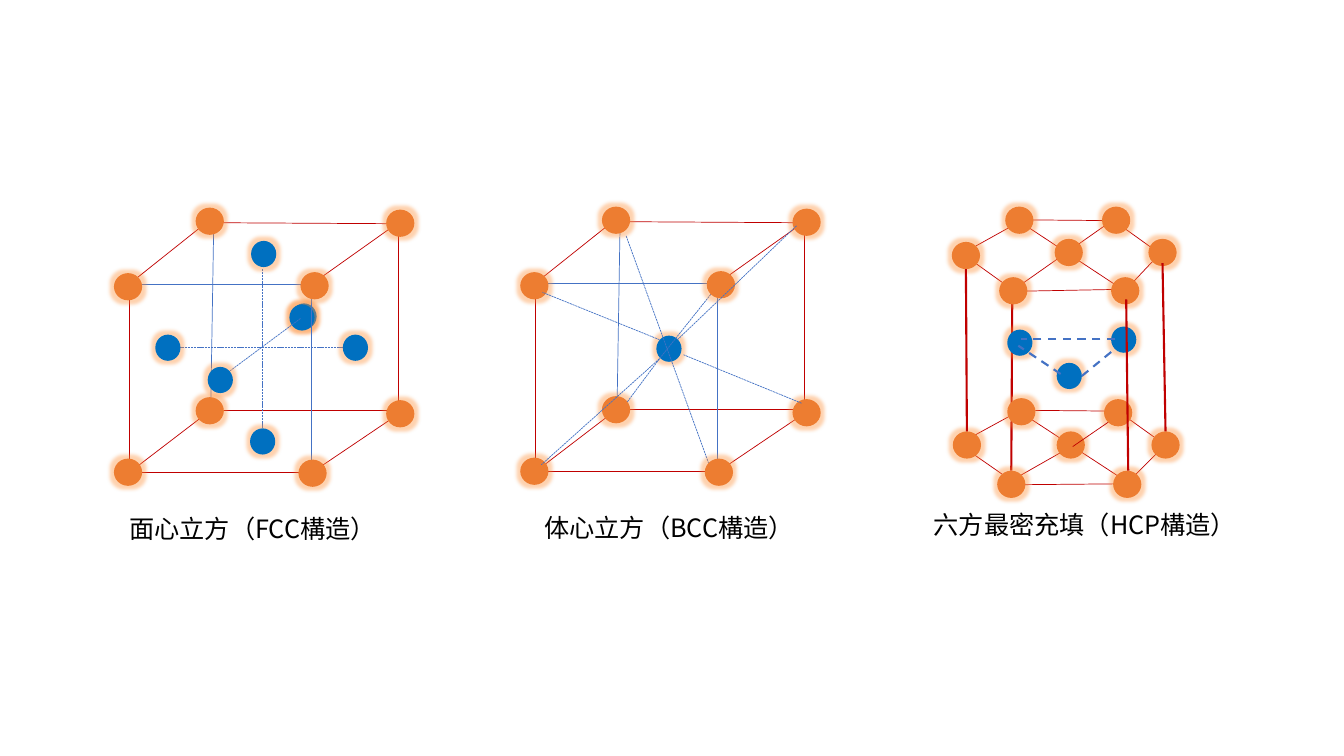
from lxml import etree
from pptx import Presentation
from pptx.dml.color import RGBColor
from pptx.enum.dml import MSO_LINE
from pptx.enum.shapes import MSO_CONNECTOR, MSO_SHAPE
from pptx.enum.text import PP_ALIGN
from pptx.oxml.ns import qn
from pptx.util import Inches, Pt

STRAIGHT, OVAL = MSO_CONNECTOR.STRAIGHT, MSO_SHAPE.OVAL
FINE_DASH, LONG_DASH = MSO_LINE.SQUARE_DOT, MSO_LINE.DASH
CENTER = PP_ALIGN.CENTER
FONT = "Noto Sans CJK JP"
COLORS = {"corner": "ED7D31", "inner": "0070C0", "edge": "C00000",
          "guide": "4472C4", "glow": "FF8F37", "text": "000000"}
ATOM_SIZES = {"corner": (0.28, 0.27), "inner": (0.25, 0.26)}

# Atoms are (left, top) and bonds (x1, y1, x2, y2), in inches from the box corner
CUBE_CORNERS = [(2.7, 0.02), (0.81, 0), (0, 0.65), (0, 2.49),
                (2.7, 1.91), (1.85, 0.64), (1.83, 2.5), (0.81, 1.88)]
CUBE_EDGES = [
    (2.82, 0.16, 2.82, 2.01), (2.84, 2.01, 0.99, 2.01), (0.89, 0.17, 0.15, 0.76),
    (2.84, 0.16, 1.07, 0.15), (2.79, 0.17, 1.96, 0.76), (0.15, 0.76, 0.15, 2.66),
    (1.96, 2.63, 0.15, 2.63), (2.79, 2.07, 1.96, 2.63), (0.96, 2.01, 0.15, 2.63)]
CUBE_INNER_EDGES = [(1.96, 0.76, 0.17, 0.76), (1.96, 0.82, 1.96, 2.66),
                    (0.99, 0.17, 0.96, 2.01)]

FCC_BACK = [(1.76, 0.95), (1.74, 0.96)]
FCC_FACES = [(1.36, 0.33), (0.41, 1.26), (0.93, 1.58), (2.27, 1.26), (1.35, 2.19)]
FCC_AXES = [(1.47, 0.61, 1.47, 2.3), (2.4, 1.39, 0.59, 1.39), (1.85, 1.1, 1.07, 1.68)]

BCC_CENTER = [(1.35, 1.28)]
BCC_BACK_DIAGONALS = [(1.05, 0.29, 1.87, 2.55), (1.89, 0.87, 1.38, 1.51)]
BCC_FRONT_DIAGONALS = [
    (1.38, 1.51, 0.21, 2.56), (1.38, 1.32, 0.22, 0.85), (2.79, 1.95, 1.62, 1.47),
    (2.74, 0.19, 1.56, 1.32), (1.38, 1.51, 1.06, 1.94)]

HCP_BOTTOM_EDGES = [
    (0.59, 1.98, 1.66, 2.68), (0.12, 2.39, 0.58, 2.71), (0.55, 2.76, 1.65, 2.75),
    (1.65, 2.03, 2.11, 2.36), (0.65, 2.02, 1.77, 2.03), (1.74, 2.74, 2.12, 2.36),
    (0.15, 2.31, 0.59, 2.07), (0.64, 2.69, 1.08, 2.44)]
HCP_TOP_EDGES = [
    (1.75, 0.8, 2.08, 0.45), (1.65, 0.17, 2.11, 0.5), (0.15, 0.5, 0.61, 0.83),
    (0.59, 0.13, 1.71, 0.14), (0.63, 0.84, 1.72, 0.82), (0.66, 0.14, 1.72, 0.84),
    (0.24, 0.39, 0.69, 0.14), (0.62, 0.82, 1.73, 0.04)]
HCP_BACK_POST = [(0.6, 0.9, 0.59, 2.62)]
HCP_FRONT_POSTS = [(0.14, 0.62, 0.15, 2.23), (1.73, 0.92, 1.75, 2.62),
                   (2.09, 0.56, 2.12, 2.23)]
HCP_FRONT_SPOKE = [(1.2, 2.38, 1.55, 2.14)]
HCP_TRIANGLE = [(1.62, 1.31, 0.69, 1.31), (1.08, 1.66, 0.66, 1.38),
                (1.29, 1.68, 1.62, 1.41)]
HCP_CORNERS = [
    (1.02, 0.32), (0, 0.35), (0.53, 0), (1.49, 0), (1.95, 0.32), (1.58, 0.7), (0.47, 0.7),
    (0.01, 2.23), (1.04, 2.23), (1.51, 1.91), (0.45, 2.62), (1.6, 2.62), (1.98, 2.23),
    (0.55, 1.9)]
HCP_MIDDLE = [(1.58, 1.19), (0.55, 1.22), (1.04, 1.55)]


def rgb(name):
    return RGBColor.from_string(COLORS[name])


def add_atoms(slide, box, kind, spots):
    """Glowing balls of one kind."""
    width, height = ATOM_SIZES[kind]
    for x, y in spots:
        atom = slide.shapes.add_shape(OVAL, Inches(box[0] + x), Inches(box[1] + y),
                                      Inches(width), Inches(height))
        atom.fill.solid()
        atom.fill.fore_color.rgb = rgb(kind)
        atom.line.fill.background()
        atom.shadow.inherit = False
        effects = atom.element.spPr.find(qn("a:effectLst"))
        glow = etree.SubElement(effects, qn("a:glow"), rad=str(Pt(5)))
        tint = etree.SubElement(glow, qn("a:srgbClr"), val=COLORS["glow"])
        etree.SubElement(tint, qn("a:alpha"), val="40000")


def add_bonds(slide, box, color, ends, width=0.5, dash=None):
    """Straight lines of one style."""
    left, top = box
    for x1, y1, x2, y2 in ends:
        bond = slide.shapes.add_connector(
            STRAIGHT, Inches(left + x1), Inches(top + y1),
            Inches(left + x2), Inches(top + y2))
        bond.line.color.rgb = rgb(color)
        bond.line.width = Pt(width)
        if dash is not None:
            bond.line.dash_style = dash
        etree.SubElement(bond.element.spPr, qn("a:effectLst"))


def add_caption(slide, left, top, width, text):
    caption = slide.shapes.add_textbox(Inches(left), Inches(top), Inches(width), Inches(0.4))
    caption.text_frame.word_wrap = True
    label = caption.text_frame.paragraphs[0]
    label.text = text
    label.alignment = CENTER
    label.font.size = Pt(18)
    label.font.color.rgb = rgb("text")
    label.font.name = FONT
    east_asian = etree.SubElement(label.font._element, qn("a:ea"))
    east_asian.set("typeface", FONT)


def add_cube(slide, box, dashes):
    """Cube frame with dashed inner lines, then its corner atoms."""
    add_bonds(slide, box, "edge", CUBE_EDGES)
    add_bonds(slide, box, "guide", CUBE_INNER_EDGES)
    add_bonds(slide, box, "guide", dashes, dash=FINE_DASH)
    add_atoms(slide, box, "corner", CUBE_CORNERS)


def add_fcc(slide, box):
    add_atoms(slide, box, "inner", FCC_BACK)
    add_cube(slide, box, FCC_AXES)
    add_atoms(slide, box, "inner", FCC_FACES)
    add_caption(slide, box[0] - 0.03, box[1] + 2.98, 2.81, "面心立方（FCC構造）")


def add_bcc(slide, box):
    add_atoms(slide, box, "inner", BCC_CENTER)
    add_cube(slide, box, BCC_BACK_DIAGONALS)
    add_bonds(slide, box, "guide", BCC_FRONT_DIAGONALS, dash=FINE_DASH)
    add_caption(slide, box[0] + 0.07, box[1] + 2.98, 2.81, "体心立方（BCC構造）")


def add_hcp(slide, box):
    # Hexagonal layers
    add_bonds(slide, box, "edge", HCP_BOTTOM_EDGES)
    add_bonds(slide, box, "edge", HCP_BACK_POST, width=1.5)
    add_bonds(slide, box, "edge", HCP_TOP_EDGES)
    add_atoms(slide, box, "corner", HCP_CORNERS)
    # Middle layer and front posts
    add_atoms(slide, box, "inner", HCP_MIDDLE)
    add_bonds(slide, box, "edge", HCP_FRONT_POSTS, width=1.5)
    add_bonds(slide, box, "edge", HCP_FRONT_SPOKE)
    add_bonds(slide, box, "guide", HCP_TRIANGLE, width=1.5, dash=LONG_DASH)
    add_caption(slide, box[0] - 0.47, box[1] + 2.95, 3.58, "六方最密充填（HCP構造）")


def main():
    deck = Presentation()
    deck.slide_width, deck.slide_height = Inches(13.33), Inches(7.5)
    slide = deck.slides.add_slide(deck.slide_layouts[6])
    add_fcc(slide, (1.13, 2.06))
    add_bcc(slide, (5.16, 2.05))
    add_hcp(slide, (9.44, 2.05))
    deck.save("out.pptx")


if __name__ == "__main__":
    main()
